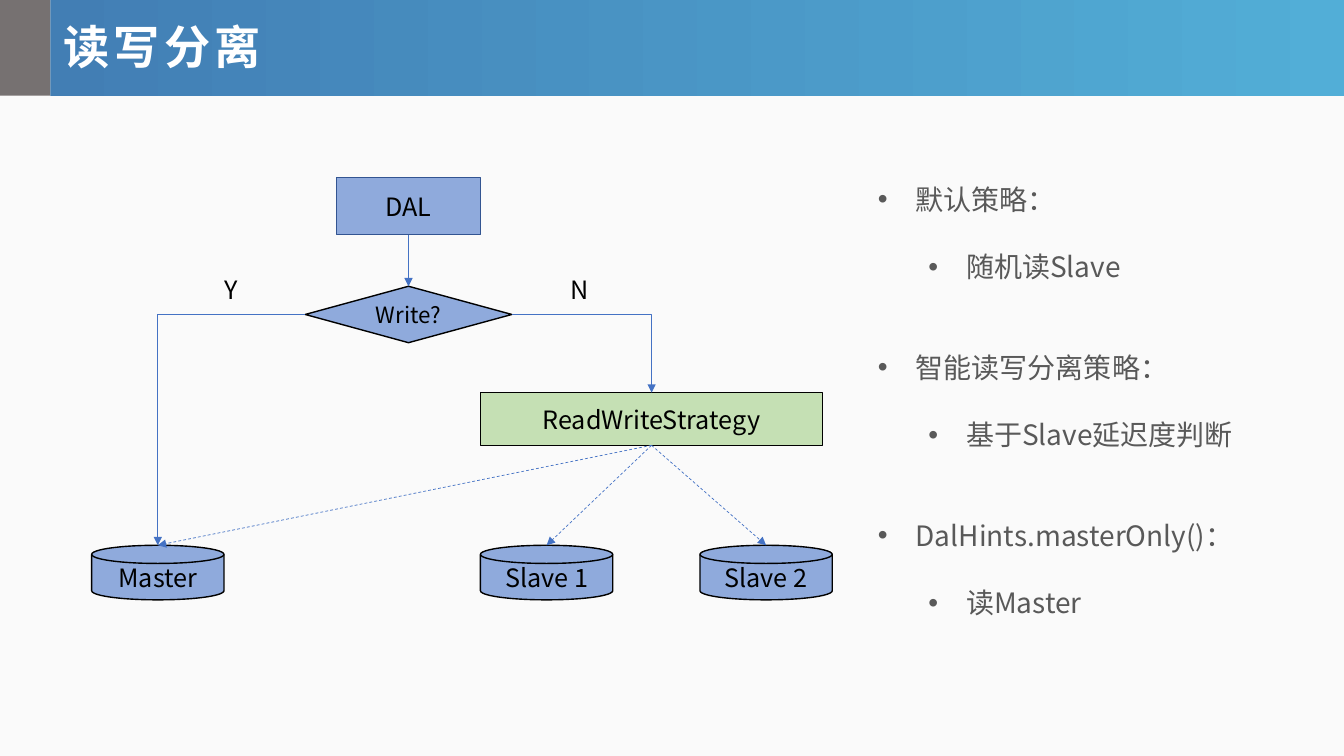
from lxml import etree
from pptx import Presentation
from pptx import util as u
from pptx.dml.color import RGBColor
from pptx.enum import dml, shapes, text
from pptx.oxml import ns

Pt = u.Pt
FACE = "Noto Sans CJK SC"
PAPER = RGBColor(0xFA, 0xFA, 0xFA)
WHITE = RGBColor(0xFF, 0xFF, 0xFF)
BLACK = RGBColor(0, 0, 0)
STONE = RGBColor(0x76, 0x71, 0x71)
DEEP = RGBColor(0x42, 0x7E, 0xB4)
SKY = RGBColor(0x52, 0xAE, 0xD7)
BLUE = RGBColor(0x8F, 0xAA, 0xDC)
NAVY = RGBColor(0x32, 0x54, 0x91)
GREEN = RGBColor(0xC5, 0xE0, 0xB4)
WIRE = RGBColor(0x44, 0x72, 0xC4)
GREY = RGBColor(0x59, 0x59, 0x59)

KIND = shapes.MSO_SHAPE
LEFT, MID = text.PP_ALIGN.LEFT, text.PP_ALIGN.CENTER


def add(parent, tag, **attrs):
    return etree.SubElement(parent, ns.qn(tag), **attrs)


class Deck:
    """Style and current slide, with one method per kind of element."""

    def __init__(self, wide, high):
        self.prs = Presentation()
        self.prs.slide_width, self.prs.slide_height = Pt(wide), Pt(high)
        self.slide = self.prs.slides.add_slide(self.prs.slide_layouts[6])
        back = self.slide.background.fill
        back.solid()
        back.fore_color.rgb = PAPER

    def style(self, para, size, color, align=MID, bold=False):
        para.alignment = align
        font = para.font
        font.name, font.size, font.bold = FACE, Pt(size), bold
        font.color.rgb = color
        add(font._element, "a:ea", typeface=FACE)

    def shape(self, kind, x, y, w, h, fill, line=None, weight=1):
        """Draw a shape; a list of two colours as fill makes a gradient."""
        item = self.slide.shapes.add_shape(kind, Pt(x), Pt(y), Pt(w), Pt(h))
        item.shadow.inherit = False
        if isinstance(fill, list):
            item.fill.gradient()
            item.fill.gradient_angle = 0
            for stop, color in zip(item.fill.gradient_stops, fill):
                stop.color.rgb = color
        else:
            item.fill.solid()
            item.fill.fore_color.rgb = fill
        if line is None:
            item.line.fill.background()
        else:
            item.line.color.rgb = line
            item.line.width = Pt(weight)
        return item

    def node(self, kind, x, y, w, h, label, fill=BLUE, line=BLACK,
             weight=1, size=18):
        """Draw a labelled shape; return its top, left, bottom, right points."""
        frame = self.shape(kind, x, y, w, h, fill, line, weight).text_frame
        frame.vertical_anchor = text.MSO_ANCHOR.MIDDLE
        frame.word_wrap = True
        frame.text = label
        self.style(frame.paragraphs[0], size, BLACK)
        return ((x + w / 2, y), (x, y + h / 2),
                (x + w / 2, y + h), (x + w, y + h / 2))

    def box(self, x, y, w, h):
        frame = self.slide.shapes.add_textbox(
            Pt(x), Pt(y), Pt(w), Pt(h)).text_frame
        frame.word_wrap = True
        return frame

    def label(self, x, y, w, h, words, size=18, color=BLACK, align=MID,
              bold=False):
        frame = self.box(x, y, w, h)
        frame.text = words
        self.style(frame.paragraphs[0], size, color, align, bold)
        return frame

    def title(self, x, y, w, h, words):
        frame = self.label(x, y, w, h, words, 33, WHITE, LEFT, True)
        frame.margin_left = frame.margin_right = 0
        frame.margin_top = frame.margin_bottom = 0
        frame.paragraphs[0].font._element.set("spc", "300")

    def arrow(self, start, end, bent=False, dash=False):
        kind = shapes.MSO_CONNECTOR
        wire = self.slide.shapes.add_connector(
            kind.ELBOW if bent else kind.STRAIGHT,
            *(Pt(v) for v in start + end))
        wire.line.color.rgb = WIRE
        wire.line.width = Pt(0.5)
        if dash:
            wire.line.dash_style = dml.MSO_LINE.DASH
        props = wire._element.spPr
        if bent:
            props.find(ns.qn("a:prstGeom")).set("prst", "bentConnector2")
        add(props.find(ns.qn("a:ln")), "a:tailEnd", type="triangle")
        add(props, "a:effectLst")

    def bullets(self, x, y, w, h, groups, size=20, pitch=24):
        frame = self.box(x, y, w, h)
        rows = [(level, words) for group in groups
                for level, words in enumerate(group)]
        for i, (level, words) in enumerate(rows):
            para = frame.paragraphs[0] if i == 0 else frame.add_paragraph()
            para.text, para.level = words, level
            para.line_spacing = Pt(pitch)
            if i:
                para.space_before = Pt(pitch if level else 2 * pitch)
            props = para._p.get_or_add_pPr()
            props.set("marL", str(Pt(27 + 36 * level)))
            props.set("indent", str(Pt(-27)))
            add(props, "a:buFont", typeface="Arial")
            add(props, "a:buChar", char="•")
            self.style(para, size, GREY, LEFT)


def main():
    deck = Deck(960, 540)

    # Header
    deck.shape(KIND.RECTANGLE, 0, 0, 36, 68.4, STONE)
    deck.shape(KIND.RECTANGLE, 36, 0, 924, 68.4, [DEEP, SKY])
    deck.title(45.4, 13, 454, 40, "读写分离")

    # Databases
    one, two, master = [
        deck.node(KIND.FLOWCHART_MAGNETIC_DISK, x, 389.5, 94.5, 39, name)[0]
        for x, name in ((343.2, "Slave 1"), (500, "Slave 2"), (65.5, "Master"))]

    # Decision flow
    dal = deck.node(KIND.RECTANGLE, 240.3, 127, 103, 40.7, "DAL", line=NAVY)
    write = deck.node(KIND.FLOWCHART_DECISION, 218, 204.5, 147.6, 40.3,
                      "Write?", size=16)
    plan = deck.node(KIND.RECTANGLE, 343.2, 280.5, 244.4, 37.6,
                     "ReadWriteStrategy", GREEN, weight=0.75)

    # Arrows
    deck.arrow(dal[2], write[0])
    deck.arrow(write[3], plan[0], bent=True)
    deck.arrow(write[1], master, bent=True)
    for disk in (master, one, two):
        deck.arrow(plan[2], disk, dash=True)

    # Strategies
    deck.bullets(620, 126.7, 314, 322.5, (
        ("默认策略：", "随机读Slave"),
        ("智能读写分离策略：", "基于Slave延迟度判断"),
        ("DalHints.masterOnly()：", "读Master")))

    # Branch labels
    for x, word in ((115, "Y"), (363.6, "N")):
        deck.label(x, 192.2, 100.8, 29, word)

    deck.prs.save("out.pptx")


if __name__ == "__main__":
    main()
